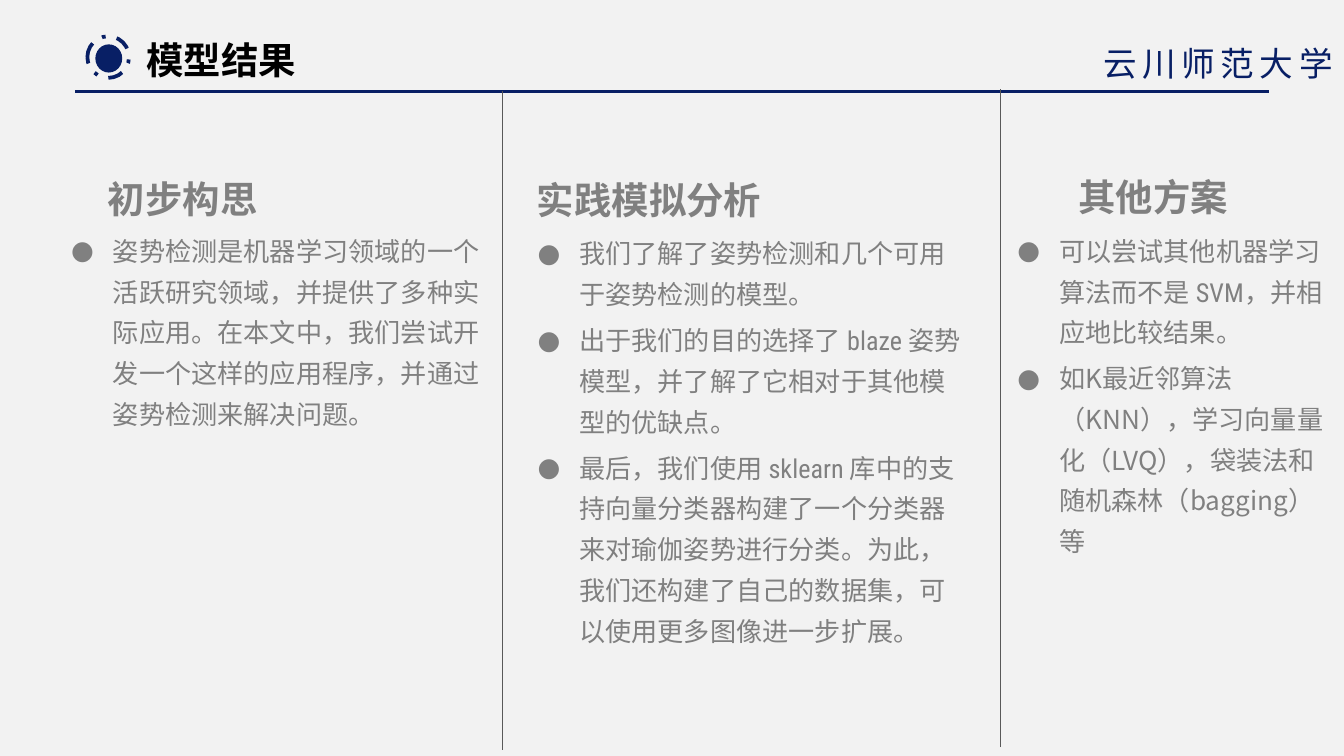
"""Build the three-column model results slide."""
from pptx import Presentation
from pptx.dml.color import RGBColor
from pptx.enum.dml import MSO_LINE_DASH_STYLE as Dash
from pptx.enum.shapes import MSO_CONNECTOR as Link, MSO_SHAPE as Form
from pptx.enum.text import MSO_ANCHOR as Anchor, MSO_AUTO_SIZE as Fit, PP_ALIGN as Align
from pptx.oxml.ns import qn
from pptx.util import Inches, Pt
from lxml.etree import SubElement as Sub

NAVY, GREY, DARK, BLACK, PALE = "081F65", "808080", "595959", "000000", "F2F2F2"
NOTO, SLIM = "Noto Sans CJK SC", "Roboto Condensed"
TITLE, SCHOOL = "模型结果", "云川师范大学"

COLUMNS = [
    dict(slot=2, head="初步构思", spot=(0.25, 1.26), box=(0.43, 1.63, 3.39, 3.72), items=[
        ("姿势检测是机器学习领域的一个活跃研究领域，并提供了多种实际应用。"
         "在本文中，我们尝试开发一个这样的应用程序，并通过姿势检测来解决问题。", SLIM)]),
    dict(slot=4, head="实践模拟分析", spot=(3.72, 1.27), box=(3.9, 1.65, 3.39, 3.72), items=[
        ("我们了解了姿势检测和几个可用于姿势检测的模型。", SLIM),
        ("出于我们的目的选择了 blaze 姿势模型，并了解了它相对于其他模型的优缺点。", SLIM),
        ("最后，我们使用 sklearn 库中的支持向量分类器构建了一个分类器来对瑜伽姿势进行分类。"
         "为此，我们还构建了自己的数据集，可以使用更多图像进一步扩展。", SLIM)]),
    dict(slot=1, head="其他方案", spot=(7.47, 1.25), box=(7.47, 1.63, 2.56, 3.72), items=[
        ("可以尝试其他机器学习算法而不是 SVM，并相应地比较结果。", SLIM),
        ("如K最近邻算法（KNN），学习向量量化（LVQ），袋装法和随机森林（bagging）等", NOTO)]),
]
RULES = [((0.56, 0.68), (9.44, 0.68), NAVY, 1.5),
         ((3.74, 5.58), (3.74, 0.68), DARK, 0.25),
         ((7.44, 5.56), (7.44, 0.66), DARK, 0.25)]


def paint(target, tone):
    if hasattr(target, "solid"):
        target.solid()
        target = target.fore_color
    target.rgb = RGBColor.from_string(tone)


def place(shape, box):
    shape.left, shape.top, shape.width, shape.height = map(Inches, box)


def frame(shape):
    text = shape.text_frame
    text.word_wrap, text.auto_size = True, Fit.NONE
    text.vertical_anchor = Anchor.TOP
    text.margin_left = text.margin_right = Inches(0.1)
    text.margin_top = text.margin_bottom = Inches(0.05)
    return text


def style(para, size, tone, face, bold=False, gap=0):
    for run in para.runs:
        font = run.font
        font.size, font.bold, font.name = Pt(size), bold, face
        paint(font.color, tone)
        props = run._r.get_or_add_rPr()
        Sub(props, qn("a:ea")).set("typeface", NOTO)
        if gap:
            props.set("spc", str(gap * 100))


def label(shape, box, words, align, *look, **more):
    place(shape, box)
    text = frame(shape)
    text.text = words
    para = text.paragraphs[0]
    para.alignment = align
    style(para, *look, **more)


def bullets(shape, box, items):
    place(shape, box)
    text = frame(shape)
    text.text = "\n".join(words for words, _ in items)
    for para, (_, face) in zip(text.paragraphs, items):
        para.line_spacing, para.space_before = 1.3, Pt(2.8)
        props = para._p.get_or_add_pPr()
        props.set("marL", str(Inches(0.31)))
        props.set("indent", str(-Inches(0.31)))
        Sub(props, qn("a:buFont")).set("typeface", SLIM)
        Sub(props, qn("a:buChar")).set("char", "●")
        style(para, 14, GREY, face)


def oval(group, box):
    shape = group.shapes.add_shape(Form.OVAL, *map(Inches, box))
    shape.shadow.inherit = False
    return shape


def rule(slide, start, end, tone, width):
    line = slide.shapes.add_connector(Link.STRAIGHT, *map(Inches, start + end))
    paint(line.line.fill, tone)
    line.line.width = Pt(width)
    Sub(line._element.spPr, qn("a:effectLst"))


def main():
    deck = Presentation()
    deck.slide_width = Inches(10)
    deck.slide_height = deck.slide_width * 9 // 16
    slide = deck.slides.add_slide(deck.slide_layouts[4])
    paint(slide.background.fill, PALE)
    slots = {slot.placeholder_format.idx: slot for slot in slide.placeholders}
    spare = slots[3]._element
    spare.getparent().remove(spare)

    def note():
        return slide.shapes.add_textbox(0, 0, 0, 0)

    label(slots[0], (0.99, 0.23, 1.33, 0.44), TITLE, Align.LEFT, 20, BLACK, "Calibri", bold=True)
    label(note(), (8.11, 0.27, 1.97, 0.4), SCHOOL, Align.LEFT, 18, NAVY, NOTO, gap=3)

    badge = slide.shapes.add_group_shape()
    disc = oval(badge, (0.71, 0.33, 0.2, 0.21))
    paint(disc.fill, NAVY)
    disc.line.fill.background()
    ring = oval(badge, (0.65, 0.27, 0.31, 0.31))
    ring.fill.background()
    paint(ring.line.fill, NAVY)
    ring.line.width, ring.line.dash_style = Pt(2), Dash.DASH_DOT

    for col in COLUMNS:
        label(note(), col["spot"] + (2.22, 0.39), col["head"], Align.CENTER, 20, GREY, NOTO,
              bold=True)
        bullets(slots[col["slot"]], col["box"], col["items"])
    for line in RULES:
        rule(slide, *line)
    deck.save("out.pptx")


if __name__ == "__main__":
    main()
